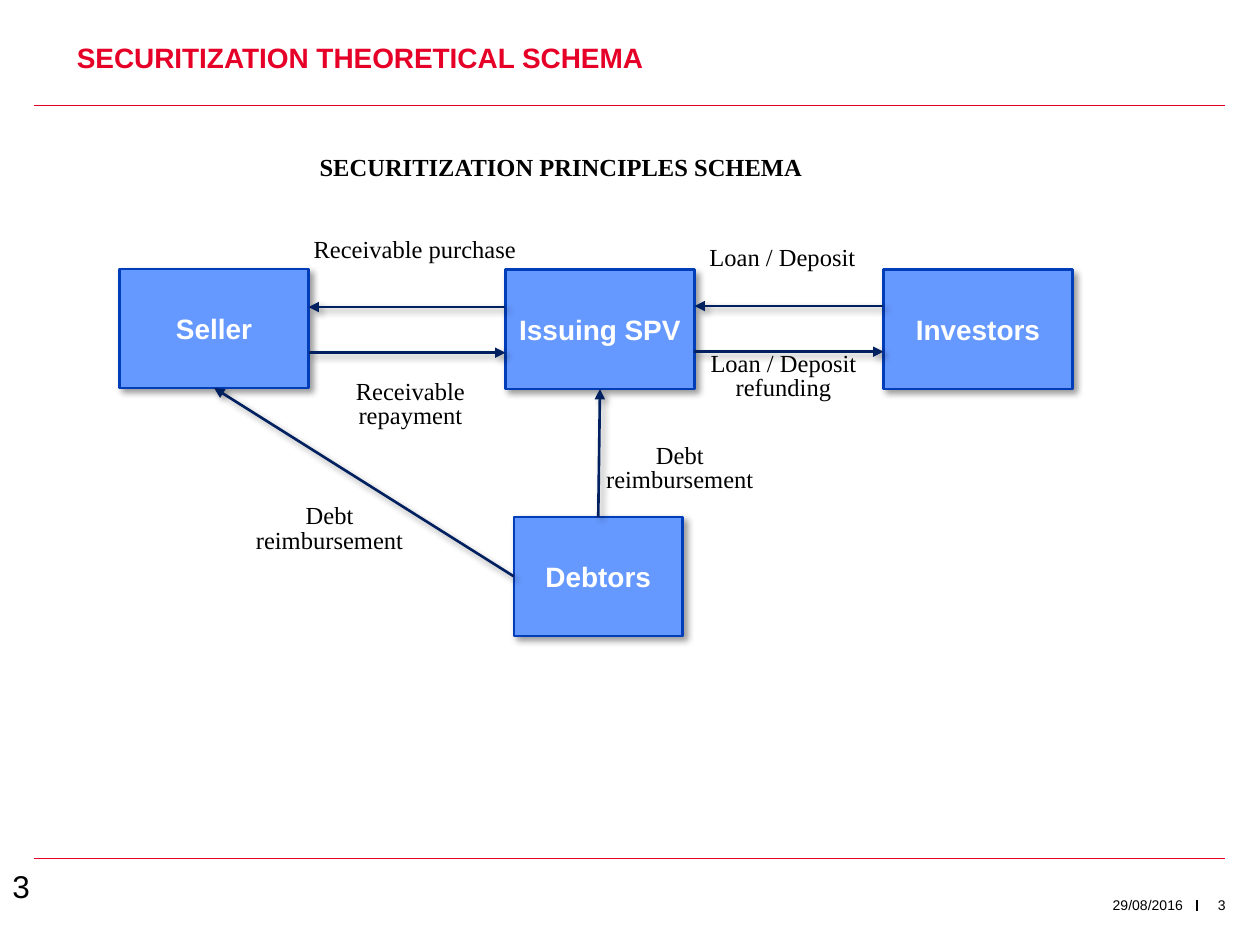
from dataclasses import dataclass

from pptx import Presentation
from pptx.dml.color import RGBColor as RGB
from pptx.enum.shapes import MSO_CONNECTOR as CONN, MSO_SHAPE as SHAPE
from pptx.enum.text import MSO_ANCHOR as ANCHOR, PP_ALIGN as ALIGN
from pptx.oxml import parse_xml
from pptx.oxml.ns import nsdecls
from pptx.util import Cm, Pt


@dataclass(frozen=True)
class Theme:
    red: RGB = RGB(0xE6, 0x00, 0x28)
    black: RGB = RGB(0, 0, 0)
    white: RGB = RGB(255, 255, 255)
    box_fill: RGB = RGB(0x66, 0x99, 0xFF)
    box_line: RGB = RGB(0x00, 0x3D, 0xB8)
    arrow: RGB = RGB(0x00, 0x20, 0x60)
    sans: str = "Arial"
    serif: str = "Times New Roman"
    heading: Pt = Pt(16)
    label: Pt = Pt(14)
    number: Pt = Pt(18)
    footer: Pt = Pt(8)
    stroke: Pt = Pt(1.5)


T = Theme()
LABEL_INSET = 0.1

SHADOW = (
    '<a:outerShdw blurRad="50800" dist="38100" dir="2700000" algn="tl" rotWithShape="0">'
    '<a:srgbClr val="000000"><a:alpha val="40000"/></a:srgbClr></a:outerShdw>'
)


def set_effects(sp, effects=""):
    xml = f'<a:effectLst {nsdecls("a")}>{effects}</a:effectLst>'
    sp._element.spPr.append(parse_xml(xml))


def write(sp, text, size, color, font=T.sans, bold=False, align=ALIGN.LEFT,
          anchor=ANCHOR.TOP, inset=(0, 0), spacing=None):
    """Fill a shape with one paragraph; inset is (sides, top and bottom) in cm."""
    tf = sp.text_frame
    tf.word_wrap = True
    tf.vertical_anchor = anchor
    tf.margin_left = tf.margin_right = Cm(inset[0])
    tf.margin_top = tf.margin_bottom = Cm(inset[1])
    p = tf.paragraphs[0]
    p.text = text
    p.alignment = align
    p.line_spacing = spacing
    p.font.size, p.font.name, p.font.bold = size, font, bold
    p.font.color.rgb = color


def add_text(slide, area, text, size, color=T.black, **style):
    sp = slide.shapes.add_textbox(*map(Cm, area))
    write(sp, text, size, color, **style)


def add_label(slide, area, text, **style):
    add_text(slide, area, text, T.label, font=T.serif, align=ALIGN.CENTER,
             inset=(LABEL_INSET, LABEL_INSET), **style)


def add_box(slide, area, text, side_inset=0):
    sp = slide.shapes.add_shape(SHAPE.RECTANGLE, *map(Cm, area))
    sp.fill.solid()
    sp.fill.fore_color.rgb = T.box_fill
    sp.line.color.rgb = T.box_line
    sp.line.width = T.stroke
    set_effects(sp, SHADOW)
    write(sp, text, T.heading, T.white, bold=True, align=ALIGN.CENTER,
          anchor=ANCHOR.MIDDLE, inset=(side_inset, 0.13))
    return sp


def add_line(slide, x1, y1, x2, y2, color, width):
    line = slide.shapes.add_connector(CONN.STRAIGHT, *map(Cm, (x1, y1, x2, y2)))
    line.line.color.rgb = color
    line.line.width = width
    return line


def add_rule(slide, x1, y1, x2, y2, color, width):
    set_effects(add_line(slide, x1, y1, x2, y2, color, width))


def add_arrow(slide, x1=0, y1=0, x2=0, y2=0):
    line = add_line(slide, x1, y1, x2, y2, T.arrow, T.stroke)
    line.line._get_or_add_ln().append(
        parse_xml(f'<a:tailEnd {nsdecls("a")} type="triangle"/>'))
    set_effects(line, SHADOW)
    return line


def join(slide, start, start_side, end, end_side):
    line = add_arrow(slide)
    line.begin_connect(start, start_side)
    line.end_connect(end, end_side)


def main():
    prs = Presentation()
    prs.slide_width, prs.slide_height = Cm(25.4), Cm(19.05)
    slide = prs.slides.add_slide(prs.slide_layouts[6])

    # Rules, title and footer
    for y in (2.13, 17.3):
        add_rule(slide, 24.69, y, 0.69, y, T.red, Pt(0.5))
    add_rule(slide, 24.13, 18.14, 24.13, 18.36, T.black, Pt(0.75))
    add_text(slide, (24, 18.08, 0.71, 0.61), "3", T.footer, align=ALIGN.RIGHT)
    add_text(slide, (18.82, 18.08, 5.03, 0.61), "29/08/2016", T.footer, align=ALIGN.RIGHT)
    add_text(slide, (1.55, 0.71, 19.56, 0.79), "SECURITIZATION THEORETICAL SCHEMA",
             T.heading, T.red, bold=True, anchor=ANCHOR.BOTTOM, spacing=0.9)
    add_text(slide, (0, 17.35, 5.28, 1.27), "3", T.number, inset=(0.25, 0.13))

    # Parties
    seller = add_box(slide, (2.41, 5.42, 3.81, 2.4), "Seller", 0.25)
    spv = add_box(slide, (10.19, 5.44, 3.81, 2.4), "Issuing SPV")
    add_box(slide, (17.81, 5.44, 3.81, 2.4), "Investors")
    debtors = add_box(slide, (10.36, 10.42, 3.4, 2.4), "Debtors", 0.25)

    # Paired flows: one to the left above, one to the right below
    for left, right, y in ((6.22, 10.19, 6.19), (14, 17.81, 6.17)):
        add_arrow(slide, right, y, left, y)
        add_arrow(slide, left, y + 0.92, right, y + 0.92)

    # Flows from the debtors
    join(slide, debtors, 1, seller, 2)
    join(slide, debtors, 0, spv, 2)

    # Flow labels
    add_label(slide, (3.5, 2.97, 15.62, 1.19), "SECURITIZATION PRINCIPLES SCHEMA", bold=True)
    add_label(slide, (5.61, 4.62, 5.51, 0.61), "Receivable purchase")
    add_label(slide, (13.69, 4.78, 4.17, 0.61), "Loan / Deposit")
    for x, y, height, text in (
        (11.63, 8.86, 1.24, "Debt reimbursement"),
        (6.2, 7.57, 0.53, "Receivable repayment"),
        (13.72, 7.01, 1.24, "Loan / Deposit refunding"),
        (4.57, 10.08, 1.24, "Debt reimbursement"),
    ):
        add_label(slide, (x, y, 4.15, height), text, spacing=Pt(14))

    prs.save("out.pptx")


if __name__ == "__main__":
    main()
